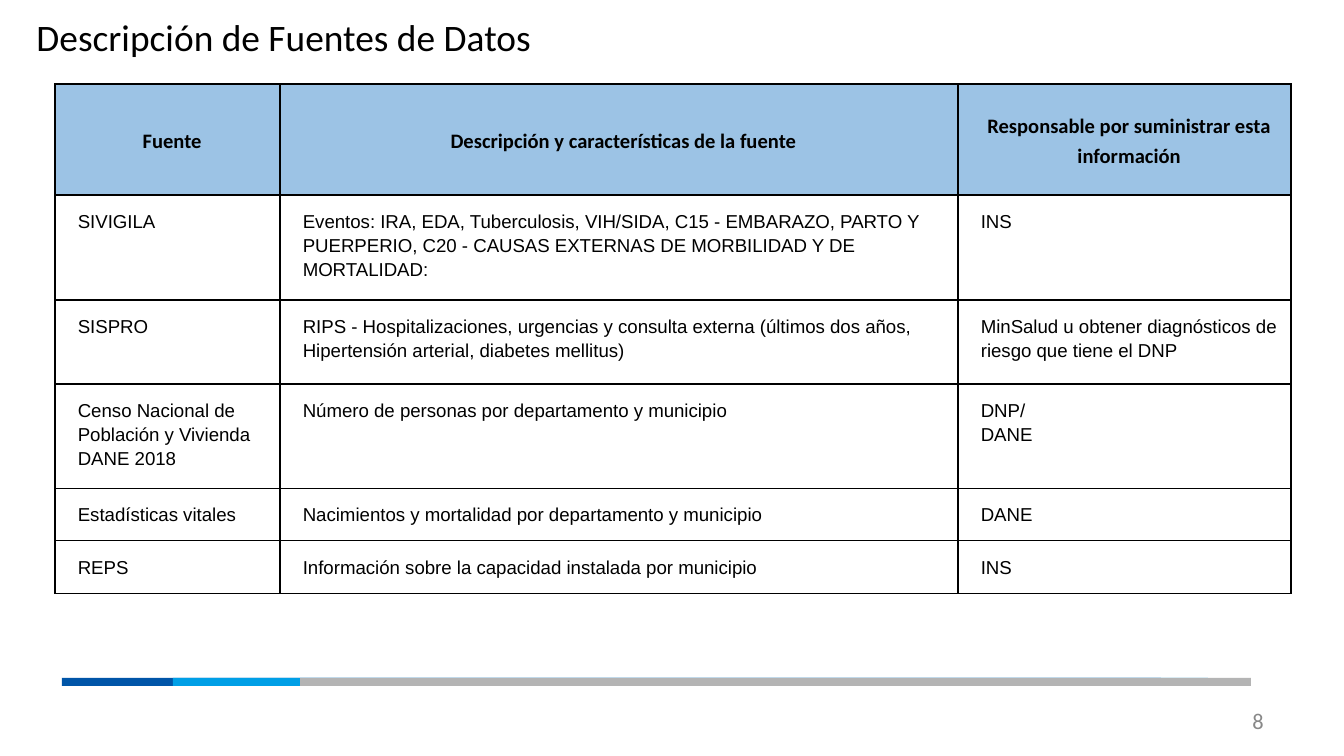
from lxml import etree
from pptx import Presentation
from pptx import util as u
from pptx.dml.color import RGBColor
from pptx.enum import shapes, text
from pptx.oxml.ns import qn

BLACK = RGBColor(0x00, 0x00, 0x00)
GRAY = RGBColor(0x88, 0x88, 0x88)
HEADER_BLUE = RGBColor(0x9C, 0xC3, 0xE5)
BAR_BLUE = RGBColor(0x00, 0x55, 0xA8)
BAR_CYAN = RGBColor(0x00, 0x9F, 0xE6)
BAR_GRAY = RGBColor(0xB4, 0xB4, 0xB4)

EMU_PER_PX = 914400 / 134.4
COLUMN_WIDTHS = [225, 678, 333]
TABLE_LEFT = 55
HEADER = ["Fuente", "Descripción y características de la fuente",
          "Responsable por suministrar esta información"]
SOURCES = [
    ["SIVIGILA",
     "Eventos: IRA, EDA, Tuberculosis, VIH/SIDA, C15 - EMBARAZO, PARTO Y PUERPERIO, "
     "C20 - CAUSAS EXTERNAS DE MORBILIDAD Y DE MORTALIDAD:",
     "INS"],
    ["SISPRO",
     "RIPS - Hospitalizaciones, urgencias y consulta externa (últimos dos años, "
     "Hipertensión arterial, diabetes mellitus)",
     "MinSalud u obtener diagnósticos de riesgo que tiene el DNP"],
    ["Censo Nacional de Población y Vivienda DANE 2018",
     "Número de personas por departamento y municipio", "DNP/\nDANE"],
    ["Estadísticas vitales",
     "Nacimientos y mortalidad por departamento y municipio", "DANE"],
    ["REPS", "Información sobre la capacidad instalada por municipio", "INS"],
]


def px(*lengths):
    """Turn pixel lengths into a list of EMU lengths."""
    return [u.Emu(round(length * EMU_PER_PX)) for length in lengths]


def format_text(frame, font_name, size, color, bold=False, align=text.PP_ALIGN.LEFT):
    for paragraph in frame.paragraphs:
        paragraph.alignment = align
        for run in paragraph.runs:
            run.font.name = font_name
            run.font.size = u.Pt(size)
            run.font.bold = bold
            run.font.color.rgb = color


presentation = Presentation()
presentation.slide_width, presentation.slide_height = px(1344, 756)
slide = presentation.slides.add_slide(presentation.slide_layouts[5])

# Title
title = slide.shapes.title
title.left, title.top, title.width, title.height = px(23, 0, 1210, 74)
title.text_frame.text = "Descripción de Fuentes de Datos"
title.text_frame.vertical_anchor = text.MSO_ANCHOR.MIDDLE
format_text(title.text_frame, "Calibri", 20, BLACK)

# Footer: overlapping bars, each covering the right part of the one before
for left, width, color in [(62, 1099, BAR_BLUE), (173, 1035, BAR_CYAN), (300, 951, BAR_GRAY)]:
    bar = slide.shapes.add_shape(shapes.MSO_SHAPE.RECTANGLE, *px(left, 678, width, 8))
    bar.shadow.inherit = False
    bar.fill.solid()
    bar.fill.fore_color.rgb = color
    bar.line.fill.background()

page_number = slide.shapes.add_textbox(*px(964, 701, 313, 40))
page_number.text_frame.word_wrap = True
page_number.text_frame.vertical_anchor = text.MSO_ANCHOR.MIDDLE
page_number.text_frame.text = "8"
format_text(page_number.text_frame, "Calibri", 12, GRAY, align=text.PP_ALIGN.RIGHT)

# The header and the body are two tables with the same columns
for is_header, top, row_heights, rows in [
    (True, 84, [111], [HEADER]),
    (False, 195, [105, 84, 99, 50, 50], SOURCES),
]:
    table = slide.shapes.add_table(
        len(rows), len(COLUMN_WIDTHS),
        *px(TABLE_LEFT, top, sum(COLUMN_WIDTHS), sum(row_heights))).table
    table.first_row = table.horz_banding = False
    for column, width in zip(table.columns, px(*COLUMN_WIDTHS)):
        column.width = width
    for row, height, values in zip(table.rows, px(*row_heights), rows):
        row.height = height
        for cell, value in zip(row.cells, values):
            cell.text_frame.text = value
            cell.margin_left = cell.margin_right = cell.margin_top = cell.margin_bottom = u.Inches(0.1)
            properties = cell._tc.get_or_add_tcPr()
            for side in ("a:lnL", "a:lnR", "a:lnT", "a:lnB"):
                border = etree.SubElement(properties, qn(side), w=str(u.Pt(0.75)))
                line_fill = etree.SubElement(border, qn("a:solidFill"))
                etree.SubElement(line_fill, qn("a:srgbClr"), val=str(BLACK))
            if is_header:
                cell.vertical_anchor = text.MSO_ANCHOR.MIDDLE
                cell.fill.solid()
                cell.fill.fore_color.rgb = HEADER_BLUE
                format_text(cell.text_frame, "Calibri", 11, BLACK, True, text.PP_ALIGN.CENTER)
            else:
                cell.vertical_anchor = text.MSO_ANCHOR.TOP
                cell.fill.background()
                format_text(cell.text_frame, "Arial", 10, BLACK)
            for paragraph in cell.text_frame.paragraphs:
                paragraph.line_spacing = 1.15
                paragraph._p.get_or_add_pPr().set("marL", str(u.Inches(0.07)))

presentation.save("out.pptx")
